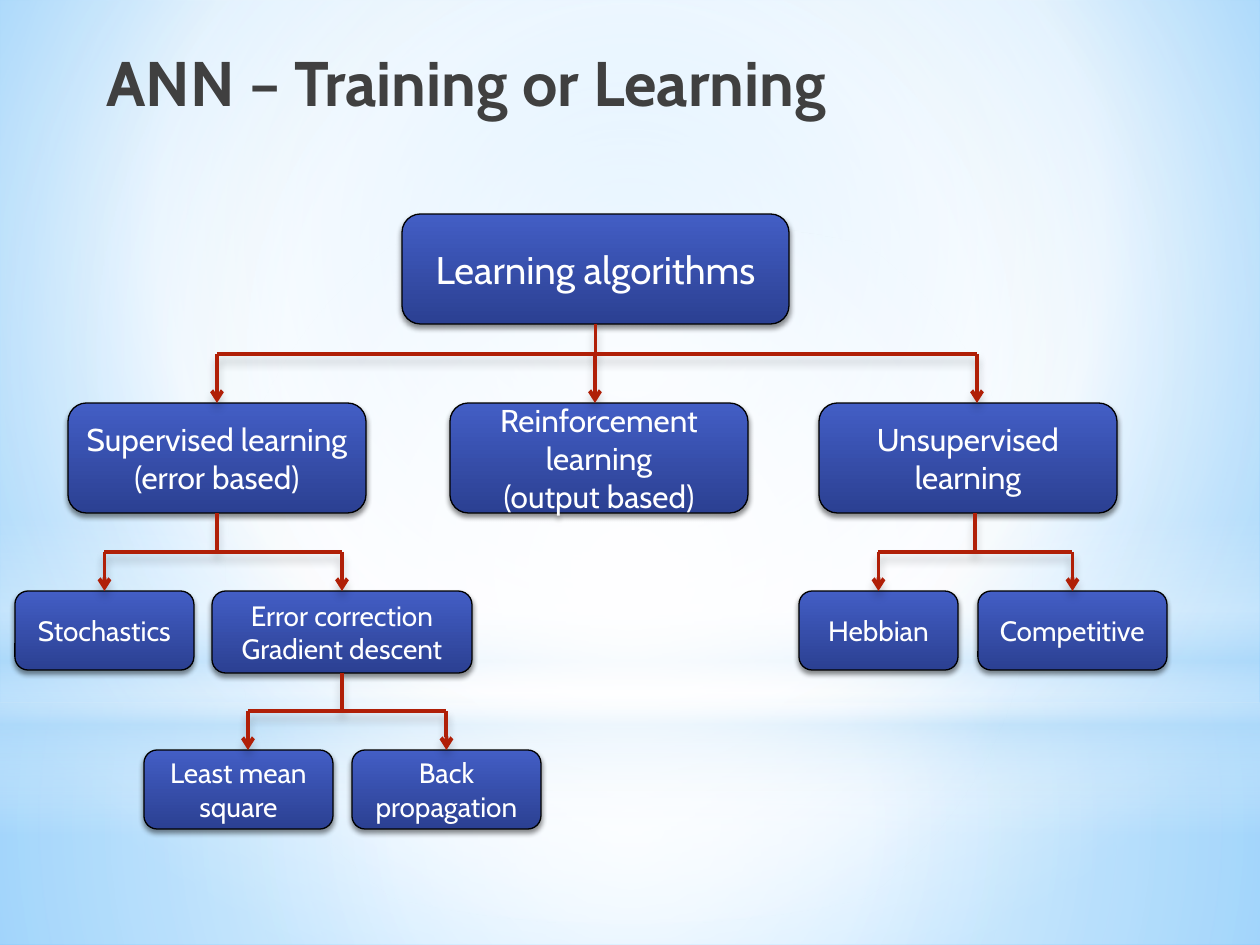
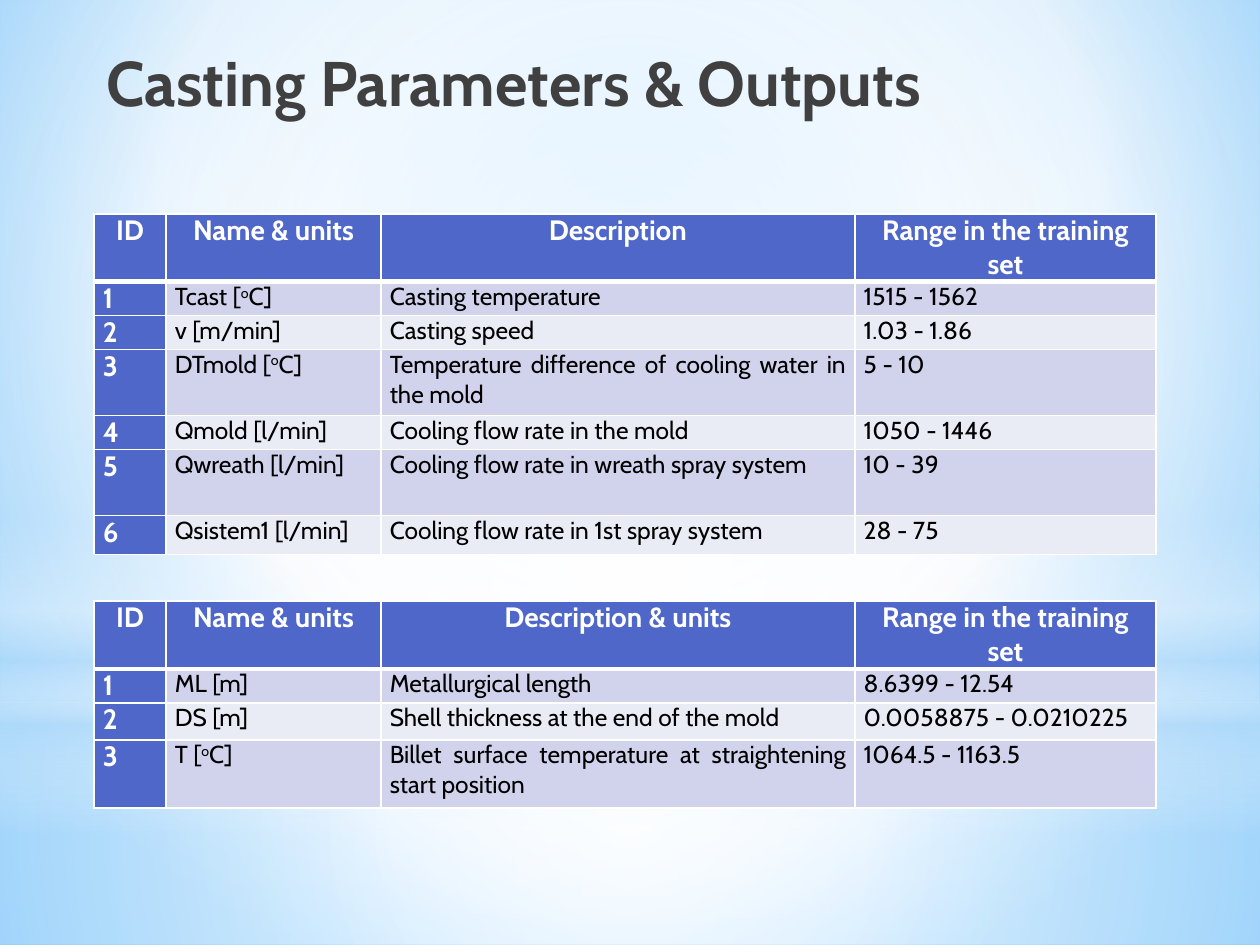
import pptx
import pptx.dml.color
import pptx.enum.shapes
import pptx.enum.text
import pptx.oxml
import pptx.oxml.ns
import pptx.util

PX = 914400 / 126
FONT = "Cabin"
WHITE, BLACK, SKY = "FFFFFF", "000000", "B4DCFA"
TITLE_COLOR, ARROW_COLOR = "404040", "B01F07"
HEADER_FILL, ROW_FILLS = "4E67C8", ("D0D3EB", "E9EBF5")
CARD_STOPS = [(0, "435EC5", 100), (100, "2B4092", 100)]
CARD_SHADOW, ARROW_SHADOW = (45, 3.1, 1.8), (20, 5, 4)  # opacity %, blur pt, distance pt
TITLE_BOX = (94, 37, 1062, 118)

BACKGROUND = [(0, "9ED5FF", 100), (60, WHITE, 100), (100, "5BB9FF", 100)]
CENTER = (50, 50, 50, 50)
# shape, box, gradient stops (position, colour, opacity), focus (None: top to bottom)
BANDS = [
    ("RECTANGLE", (0, 703, 1260, 242), [(0, WHITE, 91), (37, WHITE, 76), (100, SKY, 79)], CENTER),
    ("RECTANGLE", (0, 0, 1260, 703), [(0, WHITE, 89), (48, WHITE, 62), (100, SKY, 79)], CENTER),
    ("RECTANGLE", (0, 519, 1260, 315),
     [(0, WHITE, 0), (29, WHITE, 30), (45, SKY, 40), (55, WHITE, 26), (65, SKY, 60), (100, WHITE, 0)], None),
    ("OVAL", (0, 220, 1260, 703), [(0, WHITE, 100), (56, WHITE, 0)], CENTER),
]

# key: box, text size, lines
CARDS = {
    "root": ((402, 214, 387, 110), 22, ["Learning algorithms"]),
    "supervised": ((68, 403, 298, 110), 18, ["Supervised learning", "(error based)"]),
    "reinforcement": ((450, 403, 298, 110), 18, ["Reinforcement learning", "(output based)"]),
    "unsupervised": ((819, 403, 298, 110), 18, ["Unsupervised learning"]),
    "stochastics": ((15, 591, 179, 79), 16, ["Stochastics"]),
    "correction": ((212, 591, 260, 82), 16, ["Error correction", "Gradient descent"]),
    "hebbian": ((799, 591, 159, 79), 16, ["Hebbian"]),
    "competitive": ((978, 591, 189, 79), 16, ["Competitive"]),
    "least": ((144, 750, 189, 79), 16, ["Least mean square"]),
    "back": ((352, 750, 189, 79), 16, ["Back propagation"]),
}
# parent, stem x, bar y, children with arrow x (None: middle of the card's side)
BRANCHES = [
    ("root", None, 354, [("supervised", None), ("reinforcement", 595), ("unsupervised", 977)]),
    ("supervised", None, 552, [("stochastics", None), ("correction", None)]),
    ("unsupervised", 975, 552, [("hebbian", None), ("competitive", None)]),
    ("correction", None, 711, [("least", 248), ("back", None)]),
]

COLUMNS = [72, 215, 474, 301]
# top, row heights, rows; ^ surrounds superscript
TABLES = [
    (214, [66, 33, 33, 66, 33, 66, 39], [
        ("ID", "Name & units", "Description", "Range in the training set"),
        ("1", "Tcast [^o^C]", "Casting temperature", "1515 - 1562"),
        ("2", "v [m/min]", "Casting speed", "1.03 - 1.86"),
        ("3", "DTmold [^o^C]", "Temperature difference of cooling water in the mold", "5 - 10"),
        ("4", "Qmold [l/min]", "Cooling flow rate in the mold", "1050 - 1446"),
        ("5", "Qwreath [l/min]", "Cooling flow rate in wreath spray system", "10 - 39"),
        ("6", "Qsistem1 [l/min]", "Cooling flow rate in 1st spray system", "28 - 75"),
    ]),
    (601, [68, 34, 37, 68], [
        ("ID", "Name & units", "Description & units", "Range in the training set"),
        ("1", "ML [m]", "Metallurgical length", "8.6399 - 12.54"),
        ("2", "DS [m]", "Shell thickness at the end of the mold", "0.0058875 - 0.0210225"),
        ("3", "T [^o^C]", "Billet surface temperature at straightening start position", "1064.5 - 1163.5"),
    ]),
]


def px(*values):
    return [pptx.util.Emu(round(v * PX)) for v in values]


def rgb(color):
    return pptx.dml.color.RGBColor.from_string(color)


def xml(text):
    """Parse one element of the drawing namespace."""
    head, rest = text.split(">", 1)
    ns = pptx.oxml.ns.nsdecls("a")
    head = f"{head[:-1]} {ns}/" if head.endswith("/") else f"{head} {ns}"
    return pptx.oxml.parse_xml(head + ">" + rest)


def find(element, tag):
    return element.find(".//" + pptx.oxml.ns.qn(tag))


def set_gradient(owner, stops, focus=None):
    owner.fill.solid()
    owner.fill.fore_color.rgb = rgb(WHITE)
    stop_xml = "".join(
        f'<a:gs pos="{pos * 1000}"><a:srgbClr val="{color}"><a:alpha val="{alpha * 1000}"/></a:srgbClr></a:gs>'
        for pos, color, alpha in stops)
    if focus:
        rect = " ".join(f'{side}="{v * 1000}"' for side, v in zip("ltrb", focus))
        shade = f'<a:path path="circle"><a:fillToRect {rect}/></a:path>'
    else:
        shade = '<a:lin ang="5400000" scaled="0"/>'
    solid = find(owner.element, "a:solidFill")
    solid.getparent().replace(
        solid, xml(f'<a:gradFill rotWithShape="1"><a:gsLst>{stop_xml}</a:gsLst>{shade}</a:gradFill>'))


def shadow_xml(alpha, blur, dist):
    return (f'<a:outerShdw blurRad="{round(blur * 12700)}" dist="{round(dist * 12700)}" dir="5400000" '
            f'rotWithShape="0"><a:srgbClr val="{BLACK}"><a:alpha val="{alpha * 1000}"/></a:srgbClr></a:outerShdw>')


def add_run(p, text, size, color, bold=False):
    r = p.add_run()
    r.text = text
    r.font.name, r.font.size, r.font.bold = FONT, pptx.util.Pt(size), bold
    r.font.color.rgb = rgb(color)
    return r


def add_shape(s, kind, box):
    sp = s.shapes.add_shape(getattr(pptx.enum.shapes.MSO_SHAPE, kind), *px(*box))
    sp.shadow.inherit = False
    return sp


def set_up_master(prs, s):
    """Give the master its background and bands, and the layout its title place."""
    master = prs.slide_master
    set_gradient(master.background, BACKGROUND, (20, 10, 20, 60))
    tree = master.element.cSld.spTree
    for i, (kind, box, stops, focus) in enumerate(BANDS):
        sp = add_shape(s, kind, box)
        sp.line.fill.background()
        set_gradient(sp, stops, focus)
        sp.element.nvSpPr.cNvPr.set("id", str(101 + i))
        tree.insert(2 + i, sp.element)
    title = s.slide_layout.placeholders[0]
    title.left, title.top, title.width, title.height = px(*TITLE_BOX)


def add_title(s, text):
    tf = s.shapes.title.text_frame
    tf.vertical_anchor = pptx.enum.text.MSO_ANCHOR.TOP
    tf.auto_size = pptx.enum.text.MSO_AUTO_SIZE.NONE
    p = tf.paragraphs[0]
    p.alignment = pptx.enum.text.PP_ALIGN.LEFT
    add_run(p, text, 36, TITLE_COLOR, True)


def add_card(s, box, size, lines):
    sp = add_shape(s, "ROUNDED_RECTANGLE", box)
    set_gradient(sp, CARD_STOPS)
    sp.line.color.rgb = rgb(BLACK)
    sp.line.width = pptx.util.Pt(0.75)
    find(sp.element, "a:effectLst").append(xml(shadow_xml(*CARD_SHADOW)))
    tf = sp.text_frame
    tf.word_wrap = True
    tf.vertical_anchor = pptx.enum.text.MSO_ANCHOR.MIDDLE
    for i, line in enumerate(lines):
        p = tf.add_paragraph() if i else tf.paragraphs[0]
        p.alignment = pptx.enum.text.PP_ALIGN.CENTER
        add_run(p, line, size, WHITE)
    return sp


def add_line(s, x1, y1, x2, y2, arrow=False):
    line = s.shapes.add_connector(pptx.enum.shapes.MSO_CONNECTOR.STRAIGHT, x1, y1, x2, y2)
    line.line.color.rgb = rgb(ARROW_COLOR)
    line.line.width = pptx.util.Pt(2.25)
    if arrow:
        find(line.element, "a:ln").append(xml('<a:tailEnd type="arrow"/>'))
    line.element.spPr.append(xml(f"<a:effectLst>{shadow_xml(*ARROW_SHADOW)}</a:effectLst>"))
    return line


def side_x(card, x):
    return card.left + card.width // 2 if x is None else px(x)[0]


def add_branch(s, cards, parent, stem_x, bar_y, children):
    sp, bar = cards[parent], px(bar_y)[0]
    x = side_x(sp, stem_x)
    stem = add_line(s, x, sp.top + sp.height, x, bar)
    if stem_x is None:
        stem.begin_connect(sp, 2)
    drops = [side_x(cards[name], drop_x) for name, drop_x in children]
    add_line(s, drops[0], bar, drops[-1], bar)
    for x, (name, drop_x) in zip(drops, children):
        child = cards[name]
        drop = add_line(s, x, bar, x, child.top, arrow=True)
        if drop_x is None:
            drop.end_connect(child, 0)


def fill_cell(cell, text, row, col):
    header, label = row == 0, row == 0 or col == 0
    cell.margin_left = cell.margin_right = pptx.util.Inches(0.07)
    cell.margin_top = cell.margin_bottom = 0
    cell.fill.solid()
    cell.fill.fore_color.rgb = rgb(HEADER_FILL if label else ROW_FILLS[(row - 1) % 2])
    tcPr = find(cell.text_frame._txBody.getparent(), "a:tcPr")
    for i, side in enumerate("LRTB"):
        thick = (header and side == "B") or (row == 1 and side == "T")
        tcPr.insert(i, xml(f'<a:ln{side} w="{38100 if thick else 12700}"><a:solidFill>'
                           f'<a:srgbClr val="{WHITE}"/></a:solidFill></a:ln{side}>'))
    p = cell.text_frame.paragraphs[0]
    align = pptx.enum.text.PP_ALIGN
    p.alignment = align.CENTER if header else align.JUSTIFY
    for i, part in enumerate(text.split("^")):
        r = add_run(p, part, 16 if label else 14, WHITE if label else BLACK, label)
        if i % 2:
            r._r.get_or_add_rPr().set("baseline", "30000")


def add_parameter_table(s, top, heights, rows):
    box = px(94, top, sum(COLUMNS), sum(heights))
    table = s.shapes.add_table(len(rows), len(COLUMNS), *box).table
    table.first_col = True
    for column, width in zip(table.columns, px(*COLUMNS)):
        column.width = width
    for i, (height, texts) in enumerate(zip(px(*heights), rows)):
        table.rows[i].height = height
        for j, text in enumerate(texts):
            fill_cell(table.cell(i, j), text, i, j)


def main():
    prs = pptx.Presentation()
    prs.slide_width, prs.slide_height = px(1260, 945)
    layout = prs.slide_layouts[5]

    s = prs.slides.add_slide(layout)
    set_up_master(prs, s)
    add_title(s, "ANN – Training or Learning")
    cards = {name: add_card(s, *card) for name, card in CARDS.items()}
    for branch in BRANCHES:
        add_branch(s, cards, *branch)

    s = prs.slides.add_slide(layout)
    add_title(s, "Casting Parameters & Outputs")
    for table in TABLES:
        add_parameter_table(s, *table)

    prs.save("out.pptx")


if __name__ == "__main__":
    main()
